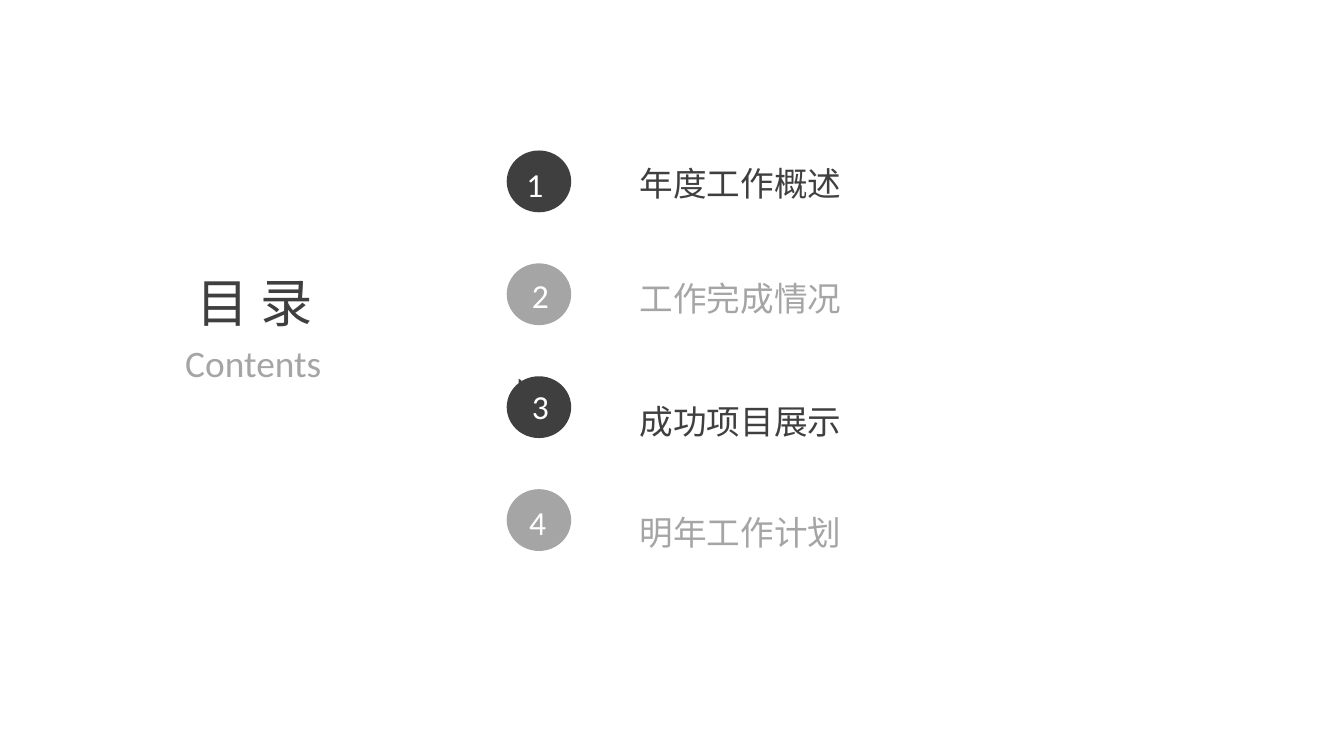
from lxml import etree
from pptx import Presentation
from pptx.dml.color import RGBColor
from pptx.enum.shapes import MSO_SHAPE
from pptx.enum.text import MSO_ANCHOR, PP_ALIGN
from pptx.oxml.ns import qn
from pptx.util import Inches, Pt

DARK = RGBColor(0x3F, 0x3F, 0x3F)
GRAY = RGBColor(0xA5, 0xA5, 0xA5)
WHITE = RGBColor(0xFF, 0xFF, 0xFF)
LATIN = "Calibri"
CJK = "Noto Sans CJK SC"


def write(shape, text, size=18, color=DARK, font=LATIN, align=PP_ALIGN.LEFT,
          anchor=MSO_ANCHOR.TOP, insets=(0.07, 0.04, 0.07, 0.04), wrap=True):
    """Fill a shape with one line of text; insets are left, top, right, bottom."""
    frame = shape.text_frame
    frame.word_wrap = wrap
    frame.vertical_anchor = anchor
    (frame.margin_left, frame.margin_top,
     frame.margin_right, frame.margin_bottom) = map(Inches, insets)
    paragraph = frame.paragraphs[0]
    paragraph.alignment = align
    run = paragraph.add_run()
    run.text = text
    run.font.size = Pt(size)
    run.font.name = font
    run.font.color.rgb = color
    east_asian = etree.SubElement(run.font._element, qn("a:ea"))
    east_asian.set("typeface", CJK)


def paint(shape, color):
    shape.shadow.inherit = False
    shape.fill.solid()
    shape.fill.fore_color.rgb = color
    shape.line.fill.background()


prs = Presentation()
prs.slide_width = Inches(10)
prs.slide_height = prs.slide_width * 9 // 16
slide = prs.slides.add_slide(prs.slide_layouts[6])
shapes = slide.shapes

heading = shapes.add_textbox(Inches(1.39), Inches(2), Inches(1.3), Inches(0.49))
write(heading, "目 录", size=28, anchor=MSO_ANCHOR.MIDDLE)
subheading = shapes.add_textbox(Inches(1.02), Inches(2.49), Inches(1.73), Inches(0.41))
write(subheading, "Contents", size=20, color=GRAY, align=PP_ALIGN.CENTER)

# Chapter title, its top, and the insets that place the number in its circle
chapters = [
    ("年度工作概述", 1.17, (0, 0.04, 0.06, 0)),
    ("工作完成情况", 2.03, (0.02, 0.01, 0, 0)),
    ("成功项目展示", 2.94, (0.02, 0, 0, 0.01)),
    ("明年工作计划", 3.77, (0, 0.03, 0.02, 0)),
]
for index, (title, title_top, number_insets) in enumerate(chapters):
    color = GRAY if index % 2 else DARK
    label = shapes.add_textbox(Inches(4.69), Inches(title_top), Inches(2.6), Inches(0.38))
    write(label, title, color=color, font=CJK)

    circle = shapes.add_shape(MSO_SHAPE.OVAL, Inches(3.77), Inches(1.12 + 0.84 * index),
                              Inches(0.48), Inches(0.46))
    paint(circle, color)
    write(circle, str(index + 1), color=WHITE, align=PP_ALIGN.CENTER,
          anchor=MSO_ANCHOR.MIDDLE, insets=number_insets, wrap=False)

# Chart axes whose tip rises above the edge of the third circle
axes_outline = [(3.86, 2.82), (3.88, 2.83), (3.88, 3), (4.13, 3), (4.13, 3.02), (3.86, 3.02)]
points = [(Inches(x), Inches(y)) for x, y in axes_outline]
builder = shapes.build_freeform(*points[0])
builder.add_line_segments(points[1:], close=True)
axes = builder.convert_to_shape()
paint(axes, DARK)
# Keep the axes behind the circles so the number stays clear
shapes._spTree.insert(2, axes._element)

prs.save("out.pptx")
